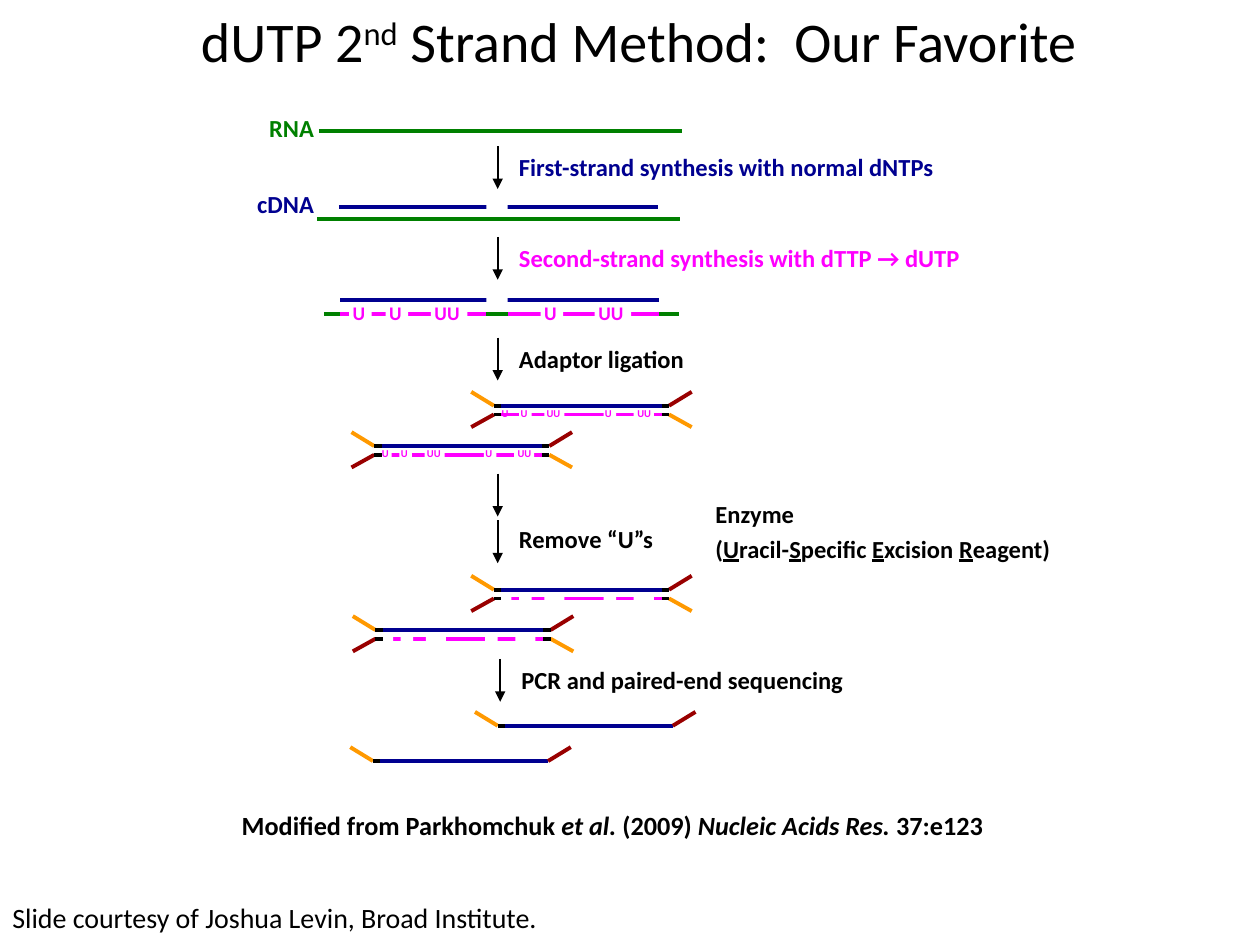
from lxml.etree import SubElement as Sub
from pptx import Presentation
from pptx.dml.color import RGBColor as RGB
from pptx.enum.shapes import MSO_CONNECTOR as Link, MSO_SHAPE as Shape
from pptx.enum.text import MSO_ANCHOR as Anchor, MSO_AUTO_SIZE as Auto, PP_ALIGN as Align
from pptx.oxml.ns import qn
from pptx.util import Pt

PX = 9144  # one px is a hundredth of an inch
HUES = {"ink": "000000", "paper": "FFFFFF", "rna": "008000", "cdna": "000090",
        "dutp": "FF00FF", "gold": "FF9900", "red": "990000"}


class Board:
    font = "Calibri"

    def __init__(self, slide):
        self.slide = slide
        self.shapes = slide.shapes

    def hue(self, name):
        return RGB.from_string(HUES[name])

    def run(self, para, text, size, hue="ink", bold=True, italic=False, under=False):
        run = para.add_run()
        run.text = text
        font = run.font
        font.name, font.size, font.bold = self.font, Pt(size), bold
        font.italic, font.underline = italic, under
        font.color.rgb = self.hue(hue)
        return run

    def title(self, x, y, w, h, parts, size):
        box = self.shapes.title
        box.left, box.top, box.width, box.height = (v * PX for v in (x, y, w, h))
        frame = box.text_frame
        frame.auto_size, frame.vertical_anchor = Auto.NONE, Anchor.TOP
        para = frame.paragraphs[0]
        para.alignment = Align.CENTER
        for text, base in parts:
            run = self.run(para, text, size, bold=False)
            if base:
                run.font._element.set("baseline", str(base * 1000))

    def text(self, x, y, w, h, parts, size=14, hue="ink", bold=True,
             align=Align.LEFT, wrap=True):
        box = self.shapes.add_textbox(x * PX, y * PX, w * PX, h * PX)
        frame = box.text_frame
        frame.word_wrap = wrap
        para = frame.paragraphs[0]
        para.alignment = align
        for text, style in [(parts, {})] if isinstance(parts, str) else parts:
            self.run(para, text, size, hue, bold, **style)
        return frame

    def line(self, x1, y1, x2, y2, hue, width=2.25, head=False):
        line = self.shapes.add_connector(Link.STRAIGHT, x1 * PX, y1 * PX, x2 * PX, y2 * PX)
        line.line.color.rgb = self.hue(hue)
        line.line.width = Pt(width)
        props = line._element.spPr
        if head:
            Sub(props.find(qn("a:ln")), qn("a:tailEnd"), type="triangle")
        Sub(props, qn("a:effectLst"))

    def gap(self, x, y, w, h):
        box = self.shapes.add_shape(Shape.RECTANGLE, x * PX, y * PX, w * PX, h * PX)
        box.shadow.inherit = False
        box.fill.solid()
        box.fill.fore_color.rgb = self.hue("paper")
        box.line.fill.background()

    def arrow(self, x, y):
        self.line(x, y, x, y + 34, "ink", 1.25, head=True)

    def step(self, x, y, w, text, hue="ink", drop=0):
        self.text(x + 7, y, w, 34, text, hue=hue)
        self.arrow(x, y + drop)

    def arms(self, x, y, rise, left, right):
        self.line(x + 139, y, x + 157, y + rise, right)
        self.line(x, y, x - 18, y + rise, left)
        self.line(x, y, x + 6, y, "ink")

    def duplex(self, x, y, marked, skip=0):
        """Adaptor-ligated fragment; skip leaves out the first gaps."""
        self.line(x, y + 7, x + 139, y + 7, "dutp")
        self.line(x, y, x + 139, y, "cdna")
        for dx, w in ((4, 10), (20, 10), (40, 16), (87, 10), (111, 16))[skip:]:
            self.gap(x + dx, y + 2, w, 10)
        if marked:
            for dx, w, mark in ((-2, 18, "U"), (13, 18, "U"), (32, 34, "UU"),
                                (80, 18, "U"), (104, 36, "UU")):
                self.text(x + dx, y - 4, w, 20, mark, 6, "dutp")
        self.arms(x, y, -11, "gold", "red")
        self.arms(x, y + 7, 10, "red", "gold")
        for dy in (0, 7):
            self.line(x + 133, y + dy, x + 139, y + dy, "ink")

    def single(self, x, y):
        self.line(x, y, x + 139, y, "cdna")
        self.arms(x, y, -11, "gold", "red")


def main():
    deck = Presentation()
    deck.slide_width, deck.slide_height = 1000 * PX, 750 * PX
    board = Board(deck.slides.add_slide(deck.slide_layouts[5]))
    slant, under = {"italic": True}, {"under": True}

    board.title(39, 0, 936, 55, [("dUTP 2", 0), ("nd", 30),
                                 (" Strand Method:  Our Favorite", 0)], 32)

    # RNA and first strand
    board.line(253, 104, 541, 104, "rna")
    board.text(147, 85, 112, 34, "RNA", hue="rna", align=Align.RIGHT)
    board.step(395, 116, 413, "First-strand synthesis with normal dNTPs", "cdna")
    board.line(252, 174, 540, 174, "rna")
    board.line(269, 164, 522, 164, "cdna")
    board.gap(386, 157, 17, 10)
    board.text(147, 145, 112, 34, "cDNA", hue="cdna", align=Align.RIGHT)

    # Second strand with dUTP
    board.step(395, 188, 455, "Second-strand synthesis with dTTP → dUTP", "dutp")
    board.line(270, 249, 523, 249, "dutp")
    board.line(270, 238, 523, 238, "cdna")
    for x, mark in ((277, "U"), (306, "U"), (342, "UU"), (429, "U"), (472, "UU")):
        wide = 18 if mark == "U" else 29
        board.gap(x, 241, wide, 18)
        board.text(x - 7, 234, wide + 15, 29, mark, 11, "dutp")
    board.gap(386, 232, 17, 10)
    for left, right in ((257, 270), (386, 403), (523, 539)):
        board.line(left, 249, right, 249, "rna")

    # Adaptor ligation
    board.step(395, 268, 192, "Adaptor ligation")
    board.duplex(392, 322, True, skip=1)
    board.duplex(297, 354, True)

    # Removal of the uracils
    board.arrow(395, 376)
    board.step(395, 411, 192, "Remove “U”s", drop=2)
    frame = board.text(558, 391, 377, 61, "Enzyme")
    frame.paragraphs[0].space_after = Pt(3)
    para = frame.add_paragraph()
    for text, style in (("(", {}), ("U", under), ("racil-", {}), ("S", under),
                        ("pecific ", {}), ("E", under), ("xcision ", {}),
                        ("R", under), ("eagent)", {})):
        board.run(para, text, 14, **style)
    for para in frame.paragraphs:
        props = para._p.get_or_add_pPr()
        props.set("marL", str(6 * PX))
        props.set("indent", str(-6 * PX))
    board.duplex(392, 468, False)
    board.duplex(298, 500, False)

    # Sequencing
    board.step(397, 523, 464, "PCR and paired-end sequencing")
    board.single(395, 576)
    board.single(296, 604)

    # Credits
    board.text(182, 637, 701, 35, [
        ("Modified from Parkhomchuk ", {}), ("et al.", slant), (" (2009) ", {}),
        ("Nucleic Acids Res. ", slant), ("37:e123", {})], 15, wrap=False)
    board.text(0, 710, 444, 37, "Slide courtesy of Joshua Levin, Broad Institute.",
               16, bold=False, wrap=False)
    deck.save("out.pptx")


if __name__ == "__main__":
    main()
